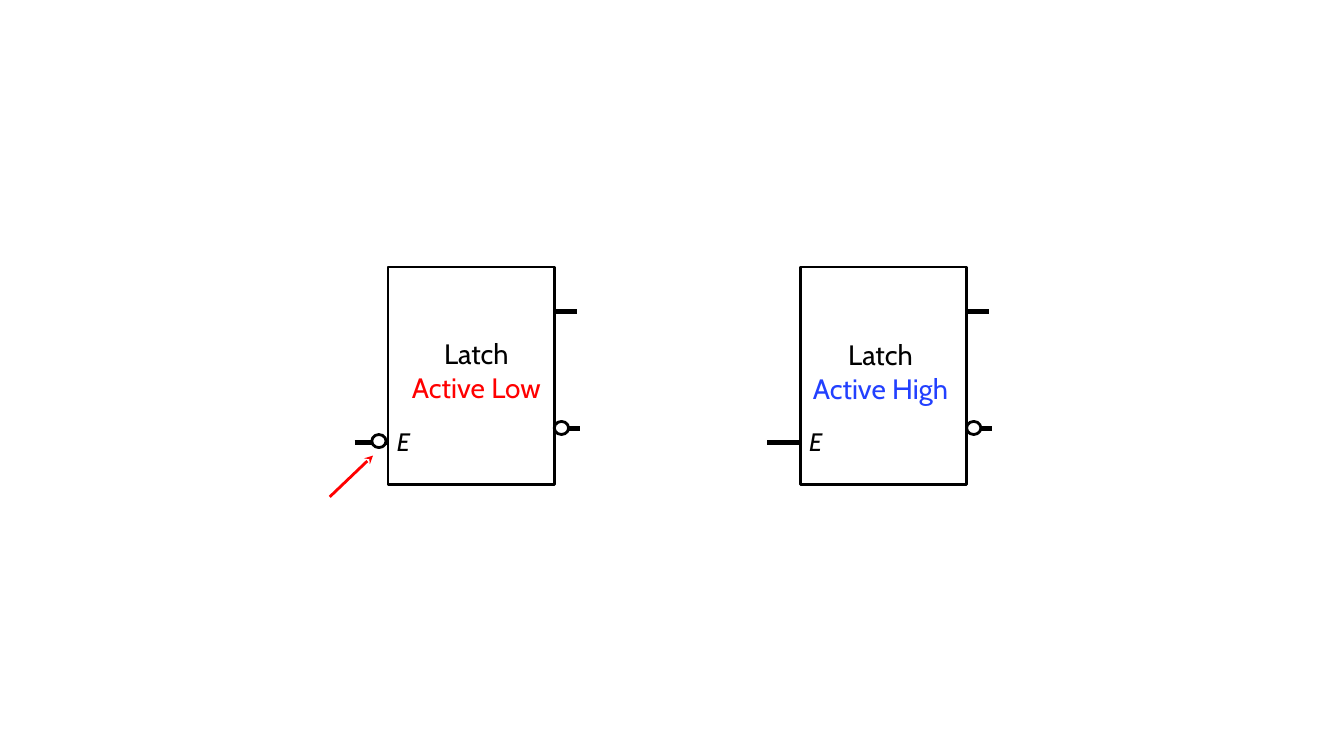
"""Draw an active-low and an active-high latch symbol side by side."""
from dataclasses import dataclass

from pptx import Presentation
from pptx.dml.color import RGBColor
from pptx.enum.shapes import MSO_CONNECTOR, MSO_SHAPE
from pptx.enum.text import MSO_AUTO_SIZE, PP_ALIGN
from pptx.oxml.ns import qn
from pptx.oxml.xmlchemy import OxmlElement
from pptx.shapes.connector import Connector
from pptx.shapes.shapetree import GroupShapes, SlideShapes
from pptx.text.text import TextFrame
from pptx.util import Cm, Pt

BLACK = RGBColor(0x00, 0x00, 0x00)
WHITE = RGBColor(0xFF, 0xFF, 0xFF)
RED = RGBColor(0xFF, 0x00, 0x00)
BLUE = RGBColor(0x22, 0x40, 0xFF)
FONT = "Cabin"

Canvas = SlideShapes | GroupShapes


@dataclass(frozen=True)
class Box:
    """Place and size in centimetres."""

    left: float
    top: float
    width: float
    height: float


@dataclass(frozen=True)
class Pin:
    """Horizontal lead, with its ends measured from the latch's left edge."""

    start: float
    end: float
    y: float


@dataclass(frozen=True)
class Latch:
    """One latch symbol with its label."""

    left: float
    mode: str
    mode_color: RGBColor
    label: Box


PINS = [Pin(3.3, 4.75, 7.85), Pin(3.35, 4.83, 10.8), Pin(-0.84, 0.62, 11.15)]
LATCHES = [
    Latch(20.17, "Active High", BLUE, Box(20.12, 8.38, 4.14, 1.96)),
    Latch(9.78, "Active Low", RED, Box(10.06, 8.36, 3.89, 1.96)),
]


def add_line(canvas: Canvas, start: tuple[float, float], end: tuple[float, float],
             color: RGBColor, width: float) -> Connector:
    """Add a straight line without a shadow."""
    line = canvas.add_connector(MSO_CONNECTOR.STRAIGHT, *map(Cm, start + end))
    line.line.color.rgb = color
    line.line.width = Pt(width)
    line.element.spPr.append(OxmlElement("a:effectLst"))
    return line


def add_outline(canvas: Canvas, kind: MSO_SHAPE, box: Box) -> None:
    """Add a white shape with a black outline."""
    outline = canvas.add_shape(kind, Cm(box.left), Cm(box.top), Cm(box.width), Cm(box.height))
    outline.shadow.inherit = False
    outline.fill.solid()
    outline.fill.fore_color.rgb = WHITE
    outline.line.color.rgb = BLACK
    outline.line.width = Pt(2)


def add_bubble(canvas: Canvas, left: float, top: float) -> None:
    """Add an inversion bubble."""
    add_outline(canvas, MSO_SHAPE.OVAL, Box(left, top, 0.36, 0.33))


def add_text(canvas: Canvas, box: Box, text: str, size: float, wrap: bool) -> TextFrame:
    """Add black text in a box that grows with it."""
    frame = canvas.add_textbox(Cm(box.left), Cm(box.top), Cm(box.width), Cm(box.height)).text_frame
    frame.text = text
    frame.word_wrap = wrap
    frame.auto_size = MSO_AUTO_SIZE.SHAPE_TO_FIT_TEXT
    for paragraph in frame.paragraphs:
        for run in paragraph.runs:
            run.font.name = FONT
            run.font.size = Pt(size)
            run.font.color.rgb = BLACK
    return frame


def draw_latch(canvas: SlideShapes, latch: Latch) -> None:
    """Draw the symbol as a group, followed by its texts."""
    symbol = canvas.add_group_shape().shapes
    for pin in PINS:
        add_line(symbol, (latch.left + pin.start, pin.y), (latch.left + pin.end, pin.y), BLACK, 4)
    add_outline(symbol, MSO_SHAPE.RECTANGLE, Box(latch.left, 6.73, 4.19, 5.49))
    add_bubble(symbol, latch.left + 4.19, 10.62)

    enable = add_text(canvas, Box(latch.left - 0.03, 10.62, 1.75, 1.02), "E", 18, True)
    enable.paragraphs[0].runs[0].font.italic = True
    label = add_text(canvas, latch.label, f"Latch\n{latch.mode}", 20, False)
    for paragraph in label.paragraphs:
        paragraph.alignment = PP_ALIGN.CENTER
    label.paragraphs[1].runs[0].font.color.rgb = latch.mode_color


def main() -> None:
    """Build and save the slide."""
    deck = Presentation()
    deck.slide_width, deck.slide_height = Cm(33.87), Cm(19.05)
    canvas = deck.slides.add_slide(deck.slide_layouts[6]).shapes
    for latch in LATCHES:
        draw_latch(canvas, latch)
    add_bubble(canvas, 9.37, 10.95)
    pointer = add_line(canvas, (8.31, 12.52), (9.4, 11.48), RED, 2)
    arrowhead = OxmlElement("a:tailEnd")
    arrowhead.set("type", "stealth")
    pointer.element.spPr.find(qn("a:ln")).append(arrowhead)
    deck.save("out.pptx")


if __name__ == "__main__":
    main()
